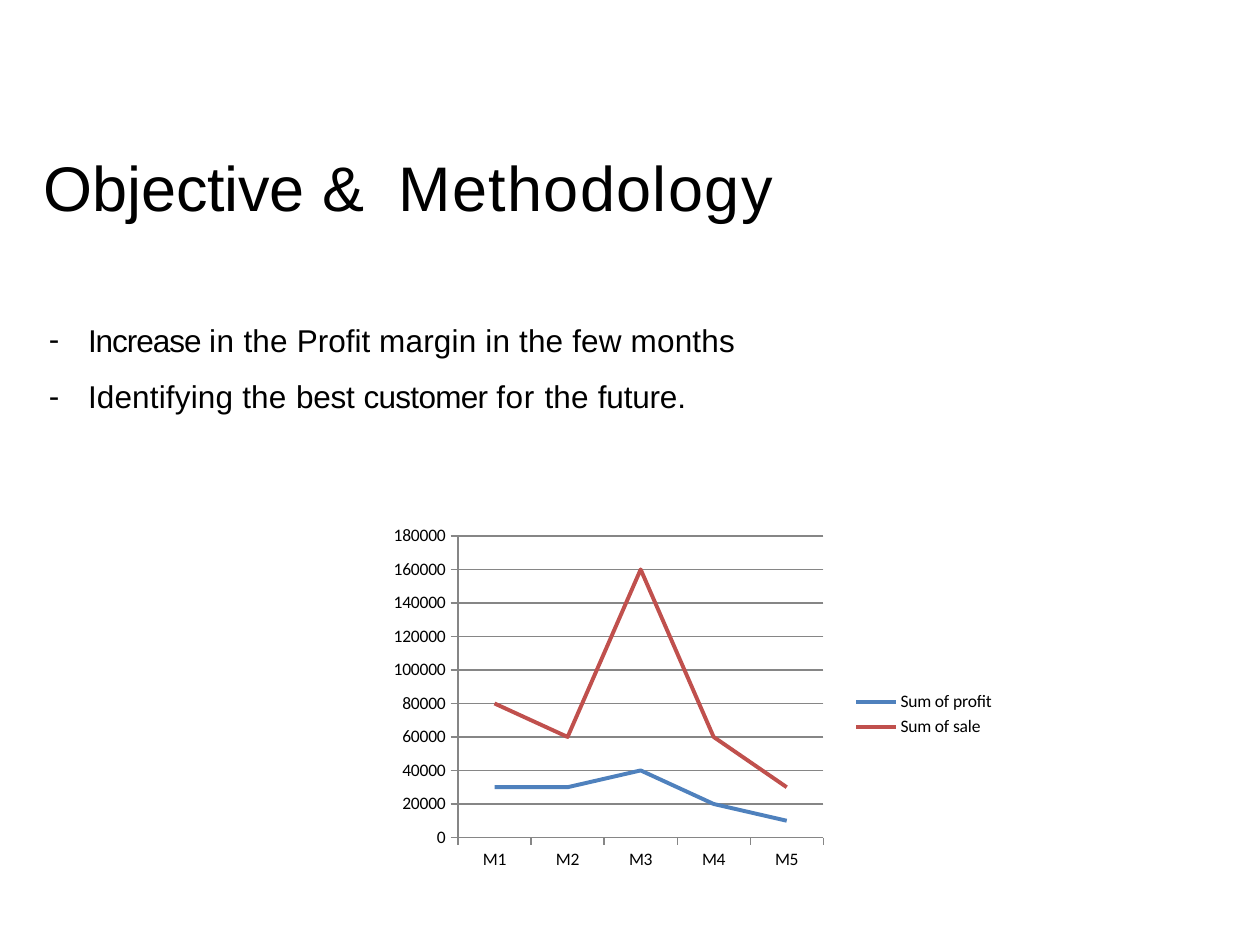
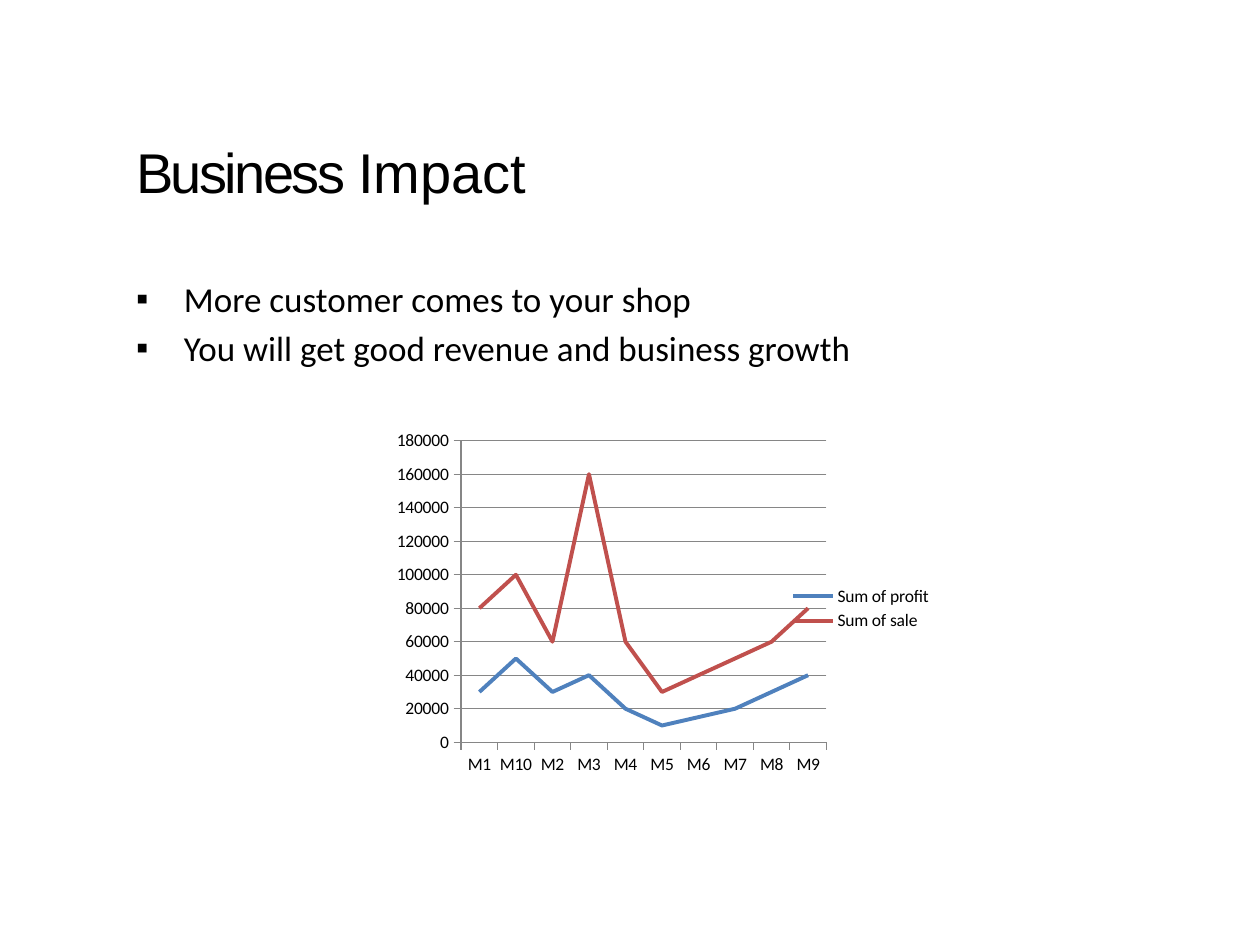
from lxml import etree
from pptx import Presentation
from pptx.chart.data import CategoryChartData
from pptx.dml.color import RGBColor
from pptx.enum.chart import XL_CHART_TYPE as ChartType
from pptx.enum.chart import XL_LEGEND_POSITION as LegendPosition
from pptx.enum.chart import XL_TICK_MARK as TickMark
from pptx.enum.text import MSO_ANCHOR as Anchor
from pptx.oxml.ns import qn
from pptx.util import Inches, Pt

COLORS = {
    "background": "FFFFFF",
    "text": "000000",
    "axis": "868686",
    "profit": "4F81BD",
    "sale": "C0504D",
}
TITLE_FONT = "Arial"
CHART_FONT = "Calibri"
CHART_SIZE = (5, 3)
PLOT_SIZE = (0.58, 0.798)  # shares of the chart's width and height


def rgb(name):
    """Return a named colour."""
    return RGBColor.from_string(COLORS[name])


def add_runs(paragraph, runs, font, size):
    """Add (text, letter spacing in points) runs in one font and size."""
    for text, spacing in runs:
        run = paragraph.add_run()
        run.text = text
        run.font.name = font
        run.font.size = Pt(size)
        run.font.color.rgb = rgb("text")
        if spacing:
            run.font._element.set("spc", str(round(spacing * 100)))


def set_bullet(paragraph, character, margin, hanging):
    """Give a paragraph a bullet and a hanging indent, in inches."""
    properties = paragraph._p.get_or_add_pPr()
    properties.set("marL", str(Inches(margin)))
    properties.set("indent", str(-Inches(hanging)))
    etree.SubElement(properties, qn("a:buFont")).set("typeface", "Arial")
    etree.SubElement(properties, qn("a:buChar")).set("char", character)


def add_outline(slide, box, insets, title, title_size, bullets, style):
    """Place a title and its bullet list in one text box."""
    frame = slide.shapes.add_textbox(*map(Inches, box)).text_frame
    frame.word_wrap = True
    frame.vertical_anchor = Anchor.TOP
    frame.margin_left, frame.margin_top = map(Inches, insets)
    add_runs(frame.paragraphs[0], title, TITLE_FONT, title_size)
    for index, runs in enumerate(bullets):
        paragraph = frame.add_paragraph()
        paragraph.space_before = Pt(style["gap"] if index else style["title_gap"])
        set_bullet(paragraph, style["bullet"], style["margin"], style["hanging"])
        add_runs(paragraph, runs, style["font"], style["size"])


def set_plot_layout(chart, left, top):
    """Fix the inner plot area, in shares of the chart."""
    plot_area = chart._chartSpace.chart.plotArea
    layout = plot_area.find(qn("c:layout"))
    if layout is None:
        layout = etree.Element(qn("c:layout"))
        plot_area.insert(0, layout)
    manual = etree.SubElement(layout, qn("c:manualLayout"))
    values = {"layoutTarget": "inner", "xMode": "edge", "yMode": "edge",
              "x": left, "y": top, "w": PLOT_SIZE[0], "h": PLOT_SIZE[1]}
    for tag, value in values.items():
        etree.SubElement(manual, qn(f"c:{tag}")).set("val", str(value))


def style_line(line, color, width):
    """Set the colour and width of a chart line."""
    line.color.rgb = rgb(color)
    line.width = Pt(width)


def add_sales_chart(slide, left, top, plot_corner, categories, profit, sale):
    """Place a line chart of profit and sale per customer."""
    data = CategoryChartData(number_format="General")
    data.categories = categories
    data.add_series("Sum of profit", profit)
    data.add_series("Sum of sale", sale)
    box = map(Inches, (left, top, *CHART_SIZE))
    chart = slide.shapes.add_chart(ChartType.LINE, *box, data).chart
    chart.has_title = False
    chart.font.name = CHART_FONT
    chart.font.size = Pt(10)
    chart.font.color.rgb = rgb("text")
    chart.has_legend = True
    chart.legend.position = LegendPosition.RIGHT
    chart.legend.include_in_layout = False
    set_plot_layout(chart, *plot_corner)

    for axis in (chart.category_axis, chart.value_axis):
        axis.major_tick_mark = TickMark.OUTSIDE
        axis.minor_tick_mark = TickMark.NONE
        style_line(axis.format.line, "axis", 0.75)
    values = chart.value_axis
    values.minimum_scale, values.maximum_scale = 0, 180000
    values.major_unit = 20000
    values.has_major_gridlines = True
    style_line(values.major_gridlines.format.line, "axis", 0.75)

    chart.plots[0].vary_by_categories = False
    for series, color in zip(chart.plots[0].series, ("profit", "sale")):
        series.smooth = False
        style_line(series.format.line, color, 2.25)


def add_slide(presentation):
    """Add a blank slide with the shared background."""
    slide = presentation.slides.add_slide(presentation.slide_layouts[6])
    slide.background.fill.solid()
    slide.background.fill.fore_color.rgb = rgb("background")
    return slide


def build_objective(presentation):
    """Build the objective and methodology slide."""
    slide = add_slide(presentation)
    title = [("Objective ", -0.1), ("& ", 4.8), ("Methodology", 0.8)]
    bullets = [
        [("Increase ", -0.6), ("in ", 0.2), ("the ", 0.1), ("Profit ", 0),
         ("margin in the few months", 0.1)],
        [("Identifying the ", 0.1), ("best ", -0.1), ("customer ", -0.4),
         ("for ", 0.4), ("the ", 0.1), ("future.", -0.1)],
    ]
    style = {"font": "Arial", "size": 18, "bullet": "-", "margin": 0.35,
             "hanging": 0.31, "title_gap": 55, "gap": 10.8}
    add_outline(slide, (0.25, 1.08, 8.81, 6.18), (0.1, 0.1),
                title, 36, bullets, style)
    add_sales_chart(slide, 3, 4.17, (0.127, 0.028),
                    [f"M{number}" for number in range(1, 6)],
                    (30000, 30000, 40000, 20000, 10000),
                    (80000, 60000, 160000, 60000, 30000))


def build_impact(presentation):
    """Build the business impact slide."""
    slide = add_slide(presentation)
    title = [("Business ", -1.5), ("Impact", 0)]
    bullets = [
        [("More customer comes to your shop", 0)],
        [("You will get good revenue and business growth", 0)],
    ]
    style = {"font": "Calibri", "size": 20, "bullet": "▪", "margin": 0.38,
             "hanging": 0.38, "title_gap": 41.7, "gap": 4}
    add_outline(slide, (1, 1, 7.67, 7.37 - 1), (0.08, 0.09),
                title, 32, bullets, style)
    # Customers run in text order, so M10 follows M1.
    add_sales_chart(slide, 2.5, 3.33, (0.232, 0.056),
                    sorted(f"M{number}" for number in range(1, 11)),
                    (30000, 50000, 30000, 40000, 20000,
                     10000, 15000, 20000, 30000, 40000),
                    (80000, 100000, 60000, 160000, 60000,
                     30000, 40000, 50000, 60000, 80000))


def main():
    """Build and save the presentation."""
    presentation = Presentation()
    presentation.slide_width = Inches(10)
    presentation.slide_height = Inches(7.5)
    build_objective(presentation)
    build_impact(presentation)
    presentation.save("out.pptx")


main()
